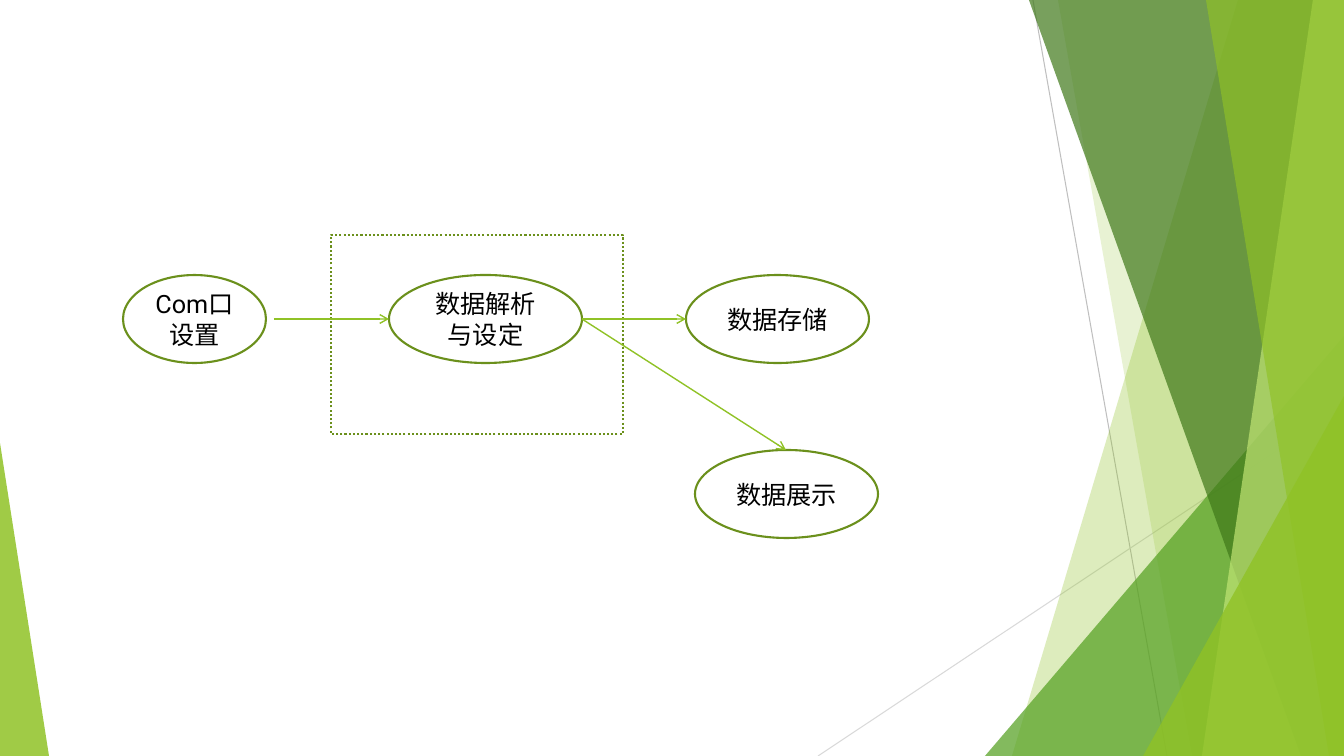
from lxml import etree
from pptx import Presentation
from pptx.dml.color import RGBColor
from pptx.enum import dml, shapes, text
from pptx.oxml.ns import qn
from pptx.util import Pt

EMU_PER_PX = 914400 / 100.8
WIDTH, HEIGHT = 1344, 756


def px(length):
    return round(length * EMU_PER_PX)


def color(hex_code):
    return RGBColor.from_string(hex_code)


class FlowSlide:
    """Holds the current slide and the style of its elements."""

    font = "Roboto"
    text_size = Pt(18)
    text_color = "000000"
    paper = "FFFFFF"
    outline = "6B901C"
    accent = "90C226"

    def __init__(self, slide):
        self.slide = slide

    def _fill(self, shape, hex_code, opacity=100):
        shape.shadow.inherit = False
        shape.fill.solid()
        shape.fill.fore_color.rgb = color(hex_code)
        if opacity < 100:
            solid = shape._element.spPr.find(qn("a:solidFill"))
            etree.SubElement(solid[0], qn("a:alpha"), val=str(opacity * 1000))

    def _outlined(self, kind, left, top, width, height):
        shape = self.slide.shapes.add_shape(
            kind, px(left), px(top), px(width), px(height))
        self._fill(shape, self.paper)
        shape.line.color.rgb = color(self.outline)
        shape.line.width = Pt(1.5)
        return shape

    def band(self, top_left, bottom_left, hex_code, opacity):
        """Full-height facet with a slanted left edge, reaching the right border."""
        builder = self.slide.shapes.build_freeform(top_left, 0, scale=EMU_PER_PX)
        builder.add_line_segments(
            [(WIDTH, 0), (WIDTH, HEIGHT), (bottom_left, HEIGHT)], close=True)
        facet = builder.convert_to_shape()
        self._fill(facet, hex_code, opacity)
        facet.line.fill.background()

    def corner(self, left, top, width, apex, hex_code, opacity):
        """Triangle standing on the bottom border; apex 0 is left, 1 is right."""
        facet = self.slide.shapes.add_shape(
            shapes.MSO_SHAPE.ISOSCELES_TRIANGLE,
            px(left), px(top), px(width), px(HEIGHT - top))
        facet.adjustments[0] = apex
        self._fill(facet, hex_code, opacity)
        facet.line.fill.background()

    def line(self, start, end, hex_code, width):
        connector = self.slide.shapes.add_connector(
            shapes.MSO_CONNECTOR.STRAIGHT, *map(px, start + end))
        connector.line.color.rgb = color(hex_code)
        connector.line.width = Pt(width)
        etree.SubElement(connector._element.spPr, qn("a:effectLst"))
        return connector

    def arrow(self, start, end):
        connector = self.line(start, end, self.accent, 1)
        etree.SubElement(connector.line._get_or_add_ln(), qn("a:tailEnd"), type="arrow")

    def dotted_frame(self, left, top, width, height):
        frame = self._outlined(shapes.MSO_SHAPE.RECTANGLE, left, top, width, height)
        frame.line.dash_style = dml.MSO_LINE.ROUND_DOT

    def step(self, label, left, top, width, height=88):
        oval = self._outlined(shapes.MSO_SHAPE.OVAL, left, top, width, height)
        frame = oval.text_frame
        frame.text = label
        frame.word_wrap = True
        frame.vertical_anchor = text.MSO_ANCHOR.MIDDLE
        paragraph = frame.paragraphs[0]
        paragraph.alignment = text.PP_ALIGN.CENTER
        font = paragraph.runs[0].font
        font.name, font.size = self.font, self.text_size
        font.color.rgb = color(self.text_color)


def draw_facets(page):
    page.line((1033, 0), (1167, HEIGHT), "BFBFBF", 0.75)
    page.line((WIDTH, 406), (818, HEIGHT), "D9D9D9", 0.75)
    page.band(1238, 1012, page.accent, 30)
    page.band(1058, 1192, page.accent, 20)
    page.corner(985, 336, 359, 1, "54A021", 72)
    page.band(1029, 1301, "3F7819", 70)
    page.band(1313, 1202, "C0E474", 70)
    page.band(1206, 1329, page.accent, 65)
    page.corner(1143, 396, 201, 1, page.accent, 80)
    page.corner(0, 443, 49, 0, page.accent, 85)


def draw_flow(page):
    row_top, row_middle, display_top = 275, 319, 450
    page.dotted_frame(331, 235, 292, 199)
    page.step("Com口设置", 123, row_top, 143)
    page.step("数据解析与设定", 389, row_top, 193)
    page.step("数据存储", 686, row_top, 183)
    page.step("数据展示", 695, display_top, 183)
    parsing_exit = (582, row_middle)
    page.arrow((274, row_middle), (389, row_middle))
    page.arrow(parsing_exit, (686, row_middle))
    page.arrow(parsing_exit, (786, display_top))


def main():
    deck = Presentation()
    deck.slide_width, deck.slide_height = px(WIDTH), px(HEIGHT)
    blank = deck.slide_layouts[6]
    page = FlowSlide(deck.slides.add_slide(blank))
    draw_facets(page)
    draw_flow(page)
    deck.save("out.pptx")


if __name__ == "__main__":
    main()
